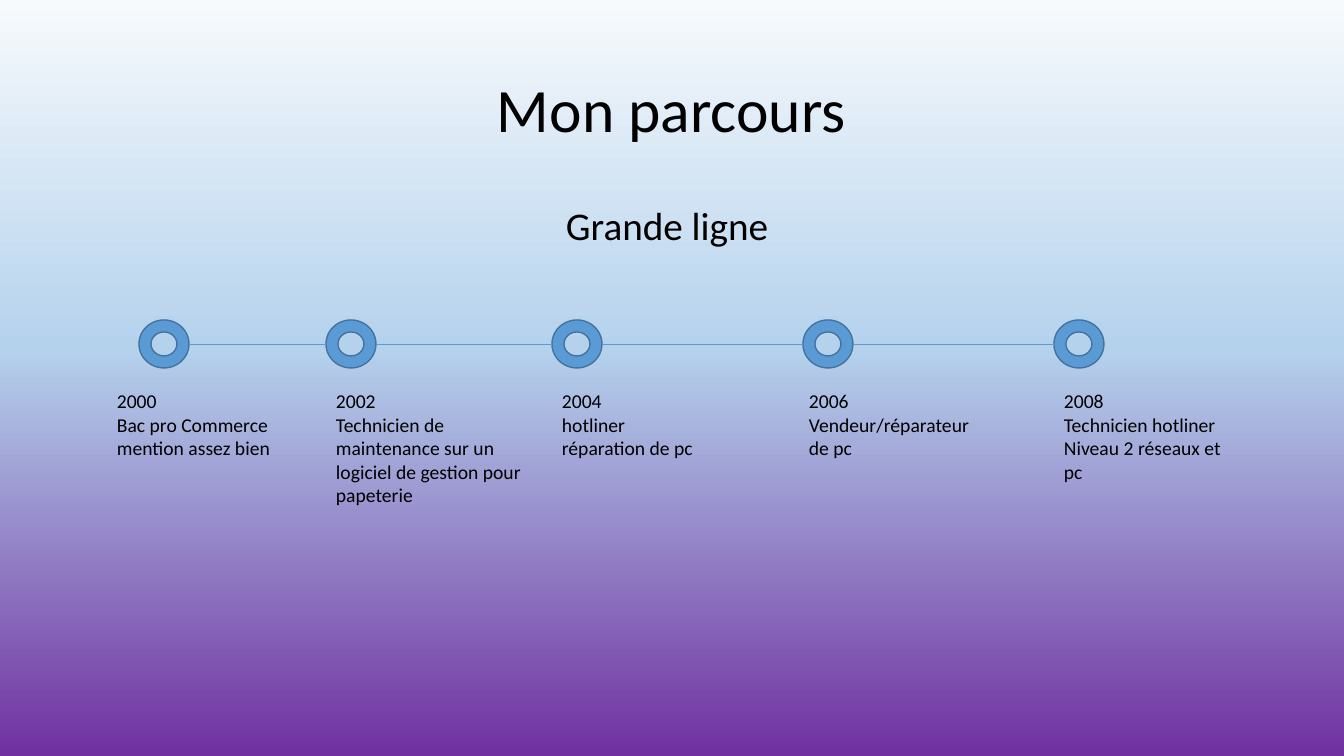
from copy import deepcopy

from lxml import etree
from pptx import Presentation
from pptx.dml.color import RGBColor
from pptx.enum.shapes import MSO_CONNECTOR, MSO_SHAPE
from pptx.enum.text import MSO_ANCHOR, MSO_AUTO_SIZE, PP_ALIGN
from pptx.oxml.ns import qn
from pptx.util import Pt

EMU_PER_PX = 12192000 / 1344
STRAIGHT = MSO_CONNECTOR.STRAIGHT
DONUT = MSO_SHAPE.DONUT
TOP, MIDDLE = MSO_ANCHOR.TOP, MSO_ANCHOR.MIDDLE
LEFT, CENTER = PP_ALIGN.LEFT, PP_ALIGN.CENTER
FIT_SHAPE, NO_FIT = MSO_AUTO_SIZE.SHAPE_TO_FIT_TEXT, MSO_AUTO_SIZE.NONE

BLACK = RGBColor(0x00, 0x00, 0x00)
BLUE = RGBColor(0x5B, 0x9B, 0xD5)
DARK_BLUE = RGBColor(0x43, 0x73, 0x9E)
PALE = RGBColor(0xF7, 0xFA, 0xFD)
SKY = RGBColor(0xB5, 0xD2, 0xEC)
PURPLE = RGBColor(0x70, 0x30, 0xA0)

DONUT_TOP, DONUT_WIDTH, DONUT_HEIGHT = 320, 50, 48
CAPTION_TOP = 384
STEPS = [
    (139, 107, 219, 82, "2000", "Bac pro Commerce mention assez bien"),
    (326, 326, 208, 159, "2002",
     "Technicien de maintenance sur un logiciel de gestion pour papeterie"),
    (552, 552, 160, 82, "2004", "hotliner réparation de pc"),
    (803, 799, 185, 82, "2006", "Vendeur/réparateur de pc"),
    (1054, 1054, 188, 105, "2008", "Technicien hotliner Niveau 2 réseaux et pc"),
]


def px(*lengths):
    return [round(length * EMU_PER_PX) for length in lengths]


class Timeline:
    """Draws the elements of a career timeline on one slide."""

    def __init__(self, slide, font="Calibri", ink=BLACK):
        self.slide, self.font, self.ink = slide, font, ink

    def background(self, stops):
        fill = self.slide.background.fill
        fill.gradient()
        fill.gradient_angle = 270
        stop_list = self.slide.element.find(".//" + qn("a:gsLst"))
        while len(stop_list) < len(stops):
            stop_list.append(deepcopy(stop_list[-1]))
        for stop, (position, color) in zip(fill.gradient_stops, stops):
            stop.position = position
            stop.color.rgb = color

    def text(self, box, *lines, size=14, align=LEFT, anchor=TOP, spacing=1.0, fit=NO_FIT):
        frame = self.slide.shapes.add_textbox(*px(*box)).text_frame
        frame.word_wrap = True
        frame.auto_size = fit
        frame.vertical_anchor = anchor
        frame.text = "\n".join(lines)
        for paragraph in frame.paragraphs:
            paragraph.alignment = align
            paragraph.line_spacing = spacing
            for run in paragraph.runs:
                run.font.name = self.font
                run.font.size = Pt(size)
                run.font.color.rgb = self.ink

    def donut(self, left):
        milestone = self.slide.shapes.add_shape(
            DONUT, *px(left, DONUT_TOP, DONUT_WIDTH, DONUT_HEIGHT))
        milestone.shadow.inherit = False
        milestone.fill.solid()
        milestone.fill.fore_color.rgb = BLUE
        milestone.line.color.rgb = DARK_BLUE
        milestone.line.width = Pt(1)

    def link(self, start, end):
        y = DONUT_TOP + DONUT_HEIGHT // 2
        segment = self.slide.shapes.add_connector(STRAIGHT, *px(start, y, end, y))
        segment.line.color.rgb = BLUE
        segment.line.width = Pt(0.5)
        etree.SubElement(segment.element.spPr, qn("a:effectLst"))


def main():
    deck = Presentation()
    deck.slide_width, deck.slide_height = px(1344, 756)
    timeline = Timeline(deck.slides.add_slide(deck.slide_layouts[6]))
    timeline.background([(0, PALE), (0.46, SKY), (1, PURPLE)])
    timeline.text((92, 40, 1159, 146), "Mon parcours",
                  size=44, align=CENTER, anchor=MIDDLE, spacing=0.9)
    timeline.text((92, 202, 1159, 480), "Grande ligne ",
                  size=28, align=CENTER, spacing=0.9)
    for left, caption_left, width, height, year, job in STEPS:
        timeline.donut(left)
        timeline.text((caption_left, CAPTION_TOP, width, height), year, job, fit=FIT_SHAPE)
    for step, following in zip(STEPS, STEPS[1:]):
        timeline.link(step[0] + DONUT_WIDTH, following[0])
    deck.save("out.pptx")


if __name__ == "__main__":
    main()
